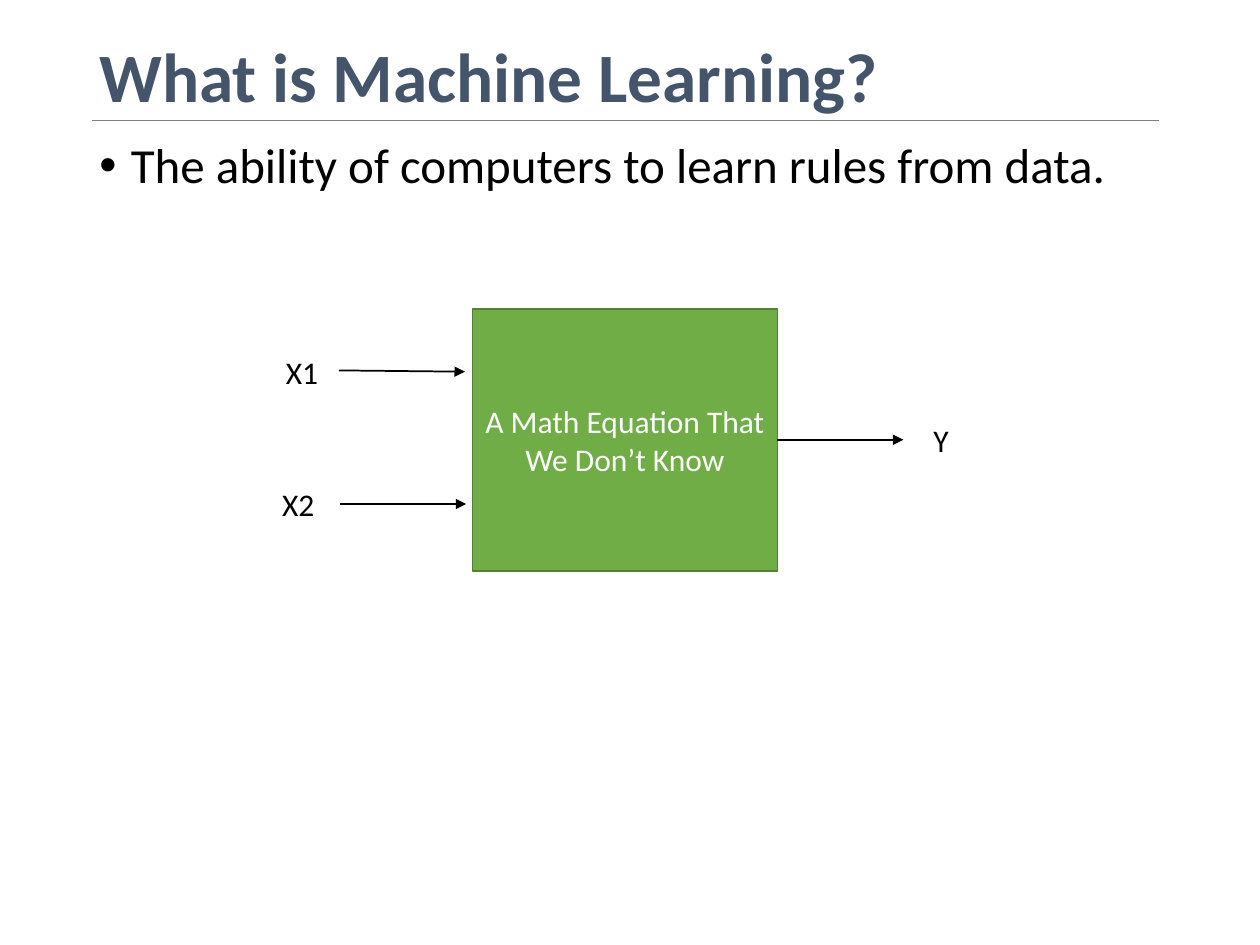
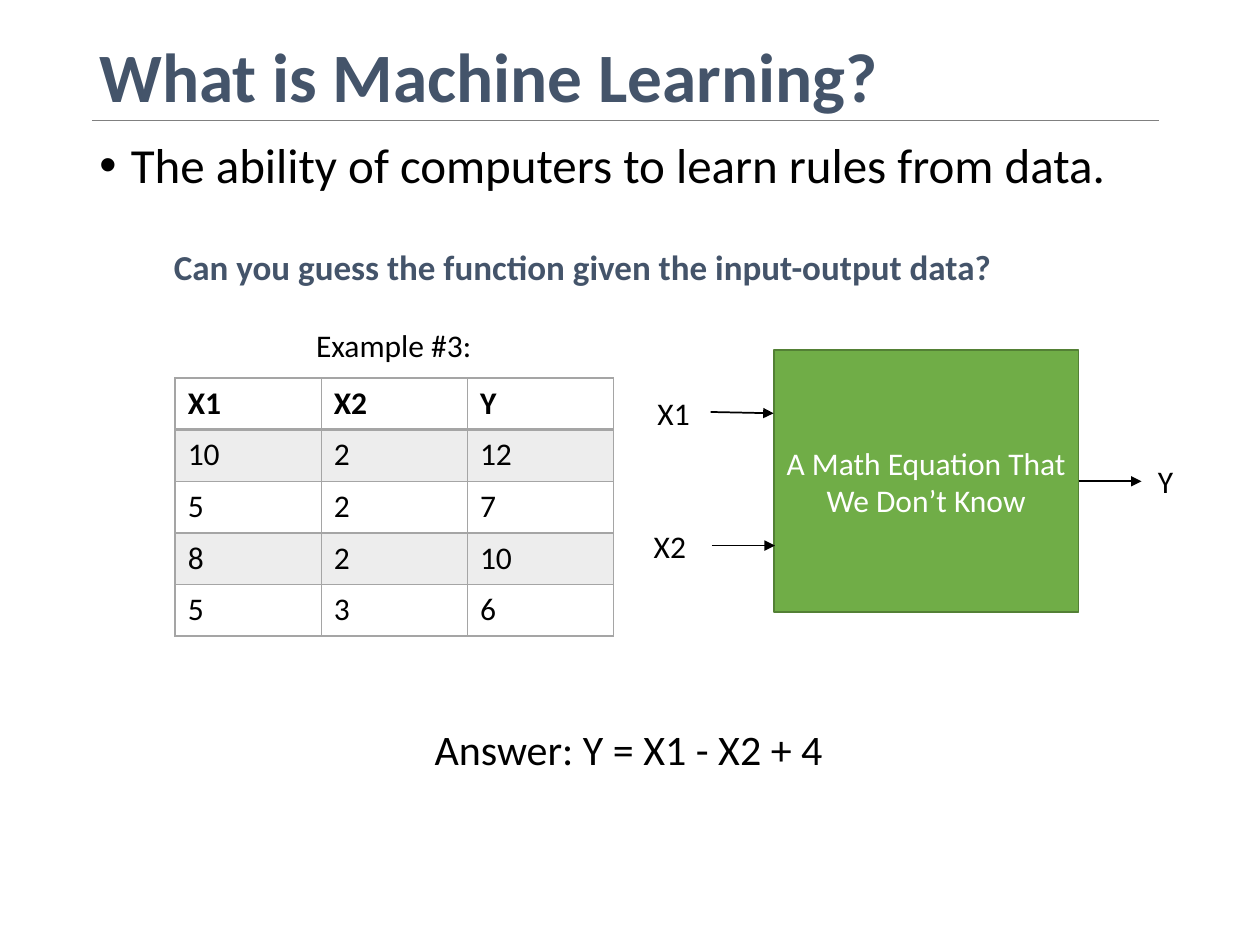
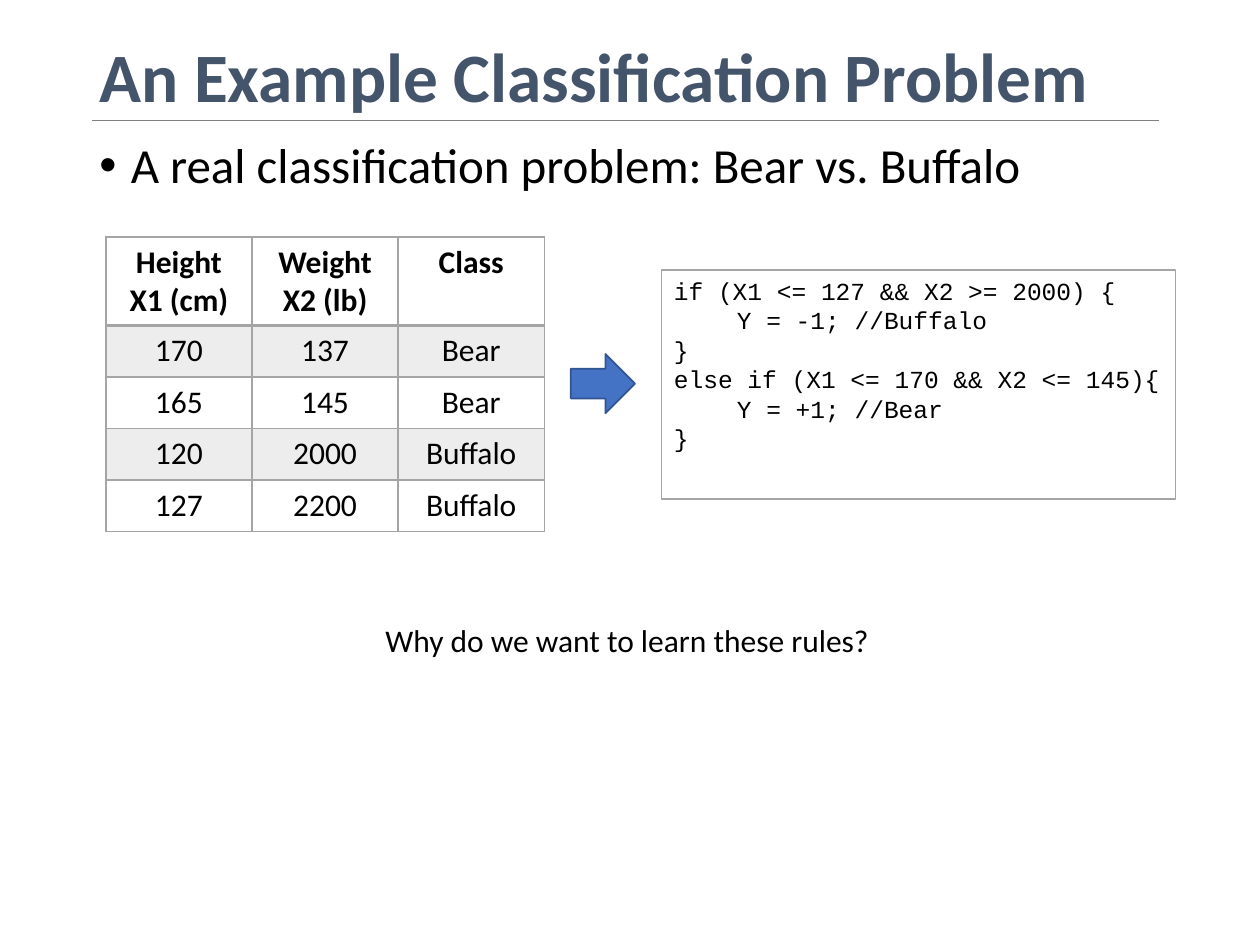
from lxml import etree
from pptx import Presentation
from pptx.dml.color import RGBColor
from pptx.enum.shapes import MSO_CONNECTOR, MSO_SHAPE
from pptx.enum.text import MSO_ANCHOR, MSO_AUTO_SIZE, PP_ALIGN
from pptx.oxml.ns import qn
from pptx.util import Pt

LEFT, CENTER, JUSTIFY = PP_ALIGN.LEFT, PP_ALIGN.CENTER, PP_ALIGN.JUSTIFY
TOP, MIDDLE = MSO_ANCHOR.TOP, MSO_ANCHOR.MIDDLE
FIT_SHAPE = MSO_AUTO_SIZE.SHAPE_TO_FIT_TEXT
STRAIGHT = MSO_CONNECTOR.STRAIGHT
RECTANGLE, RIGHT_ARROW = MSO_SHAPE.RECTANGLE, MSO_SHAPE.RIGHT_ARROW
RIGHT_SIDE = 3

EMU_PER_PX = 9144  # 100 px to the inch
SLIDE_SIZE = (1000, 750)
BODY_FONT, CODE_FONT = "Calibri", "Courier New"
COLORS = {
    "title": "44546A", "text": "000000", "white": "FFFFFF", "rule": "808080",
    "box": "70AD47", "box_edge": "538035", "grid": "A5A5A5", "band": "EDEDED",
    "arrow": "4472C4", "arrow_edge": "325491",
}

# Content
WHAT_TITLE = "What is Machine Learning?"
WHAT_POINT = "The ability of computers to learn rules from data."
CLASS_TITLE = "An Example Classification Problem"
CLASS_POINT = "A real classification problem: Bear vs. Buffalo"
EQUATION = "A Math Equation That We Don’t Know"
# label, arrow shift in x, label distance, arrow start and end below the box top
INPUTS = [("X1", 0, 52, 49, 50), ("X2", 1, 56, 155, 155)]
OUTPUT = "Y"
QUESTION = "Can you guess the function given the input-output data?"
EXAMPLE = "Example #3:"
ANSWER = "Answer: Y = X1 - X2 + 4"
EXAMPLE_ROWS = [
    ("X1", "X2", "Y"),
    ("10", "2", "12"),
    ("5", "2", "7"),
    ("8", "2", "10"),
    ("5", "3", "6"),
]
ANIMAL_ROWS = [
    ("Height\nX1 (cm)", "Weight\nX2 (lb)", "Class"),
    ("170", "137", "Bear"),
    ("165", "145", "Bear"),
    ("120", "2000", "Buffalo"),
    ("127", "2200", "Buffalo"),
]
# indent level, code line
RULES = [
    (0, "if (X1 <= 127 && X2 >= 2000) {"),
    (1, "Y = -1; //Buffalo"),
    (0, "}"),
    (0, "else if (X1 <= 170 && X2 <= 145){"),
    (1, "Y = +1; //Bear"),
    (0, "}"),
]
WHY = "Why do we want to learn these rules?"

# Sizes
BOX_W, BOX_H = 242, 208
LABEL_H = 40
COLUMN_W, ROW_H = 116, 41
CODE_INDENT = 50
BULLET_INDENT = 25


def px(length):
    return length * EMU_PER_PX


def rgb(name):
    return RGBColor.from_string(COLORS[name])


def write(frame, lines, size=18, color="text", bold=False, align=LEFT, font=BODY_FONT):
    for number, line in enumerate(lines):
        paragraph = frame.add_paragraph() if number else frame.paragraphs[0]
        paragraph.alignment = align
        run = paragraph.add_run()
        run.text = line
        run.font.name, run.font.size, run.font.bold = font, Pt(size), bold
        run.font.color.rgb = rgb(color)


def add_text(slide, text, place, wrap=False, anchor=TOP, **style):
    frame = slide.shapes.add_textbox(*map(px, place)).text_frame
    frame.word_wrap = wrap
    frame.vertical_anchor = anchor
    if not wrap:
        frame.auto_size = FIT_SHAPE
    write(frame, [text], **style)
    return frame.paragraphs[0]


def add_shape(slide, preset, place, fill, edge):
    shape = slide.shapes.add_shape(preset, *map(px, place))
    shape.shadow.inherit = False
    shape.fill.solid()
    shape.fill.fore_color.rgb = rgb(fill)
    shape.line.color.rgb = rgb(edge)
    shape.line.width = Pt(1)
    return shape


def add_line(slide, start, end, color="text", width=1, arrow=True):
    line = slide.shapes.add_connector(STRAIGHT, *map(px, start + end))
    line.line.color.rgb = rgb(color)
    line.line.width = Pt(width)
    if arrow:
        etree.SubElement(line.line._get_or_add_ln(), qn("a:tailEnd"), type="triangle")
    etree.SubElement(line._element.spPr, qn("a:effectLst"))
    return line


def set_indent(paragraph, left, first=0):
    properties = paragraph._p.get_or_add_pPr()
    properties.set("marL", str(px(left)))
    properties.set("indent", str(px(first)))
    return properties


def add_slide(deck, title, point):
    """Blank slide with the shared title, rule and bullet."""
    slide = deck.slides.add_slide(deck.slide_layouts[6])
    heading = add_text(slide, title, (69, 40, 862, 47), wrap=True, anchor=MIDDLE,
                       size=39.6, color="title", bold=True)
    heading.line_spacing = 0.9
    add_line(slide, (73, 96), (920, 96), "rule", 0.5, arrow=False)
    bullet = add_text(slide, point, (69, 107, 822, 568), wrap=True, size=28, align=JUSTIFY)
    bullet.line_spacing = 0.9
    bullet.space_before = Pt(10)
    properties = set_indent(bullet, BULLET_INDENT, -BULLET_INDENT)
    etree.SubElement(properties, qn("a:buFont"), typeface="Arial")
    etree.SubElement(properties, qn("a:buChar"), char="•")
    return slide


def add_function_diagram(slide, left, top, arrow_length, input_gap, output_gap):
    box = add_shape(slide, RECTANGLE, (left, top, BOX_W, BOX_H), "box", "box_edge")
    box.text_frame.word_wrap = True
    box.text_frame.vertical_anchor = MIDDLE
    write(box.text_frame, [EQUATION], color="white", align=CENTER)

    for label, shift, distance, start_y, end_y in INPUTS:
        tip = left - input_gap + shift
        tail = tip - arrow_length
        add_line(slide, (tail, top + start_y), (tip, top + end_y))
        add_text(slide, label, (tail - distance, top + end_y - LABEL_H // 2, 46, LABEL_H))

    right, middle = left + BOX_W, top + BOX_H // 2
    output_arrow = add_line(slide, (right, middle), (right + arrow_length, middle))
    output_arrow.begin_connect(box, RIGHT_SIDE)
    add_text(slide, OUTPUT, (right + arrow_length + output_gap, middle - LABEL_H // 2, 32, LABEL_H))


def set_borders(cell, widths):
    for side, width in widths.items():
        border = etree.SubElement(cell._tc.get_or_add_tcPr(), qn(f"a:ln{side}"), w=str(Pt(width)))
        fill = etree.SubElement(border, qn("a:solidFill"))
        etree.SubElement(fill, qn("a:srgbClr"), val=COLORS["grid"])


def add_data_table(slide, rows, left, top, header_h, align):
    width = COLUMN_W * len(rows[0])
    height = header_h + ROW_H * (len(rows) - 1)
    table = slide.shapes.add_table(len(rows), len(rows[0]), *map(px, (left, top, width, height))).table
    table.first_row = table.horz_banding = False
    for column in table.columns:
        column.width = px(COLUMN_W)
    for r, row in enumerate(rows):
        table.rows[r].height = px(ROW_H if r else header_h)
        for c, value in enumerate(row):
            cell = table.cell(r, c)
            write(cell.text_frame, value.split("\n"), bold=r == 0, align=align)
            set_borders(cell, {"L": 1, "R": 1, "T": 2 if r == 1 else 1, "B": 2 if r == 0 else 1})
            if r % 2:
                cell.fill.solid()
                cell.fill.fore_color.rgb = rgb("band")
            else:
                cell.fill.background()


def add_code_box(slide, place):
    box = add_shape(slide, RECTANGLE, place, "white", "grid")
    frame = box.text_frame
    frame.word_wrap = False
    frame.vertical_anchor = TOP
    write(frame, [line for _, line in RULES], size=14, font=CODE_FONT)
    for paragraph, (level, _) in zip(frame.paragraphs, RULES):
        set_indent(paragraph, level * CODE_INDENT)


def main():
    deck = Presentation()
    deck.slide_width, deck.slide_height = map(px, SLIDE_SIZE)

    # Definition
    slide = add_slide(deck, WHAT_TITLE, WHAT_POINT)
    add_function_diagram(slide, 375, 245, arrow_length=100, input_gap=6, output_gap=14)

    # Guessing the function
    slide = add_slide(deck, WHAT_TITLE, WHAT_POINT)
    add_function_diagram(slide, 614, 278, arrow_length=50, input_gap=0, output_gap=3)
    add_data_table(slide, EXAMPLE_ROWS, 139, 300, ROW_H, LEFT)
    add_text(slide, QUESTION, (125, 190, 675, 44), size=20, color="title", bold=True, align=CENTER)
    add_text(slide, ANSWER, (335, 569, 331, 50), size=24)
    add_text(slide, EXAMPLE, (241, 254, 145, LABEL_H))

    # Classification
    slide = add_slide(deck, CLASS_TITLE, CLASS_POINT)
    add_data_table(slide, ANIMAL_ROWS, 84, 188, 70, CENTER)
    add_code_box(slide, (525, 214, 408, 182))
    add_shape(slide, RIGHT_ARROW, (453, 281, 51, 47), "arrow", "arrow_edge")
    add_text(slide, WHY, (296, 488, 409, LABEL_H))

    deck.save("out.pptx")


if __name__ == "__main__":
    main()
